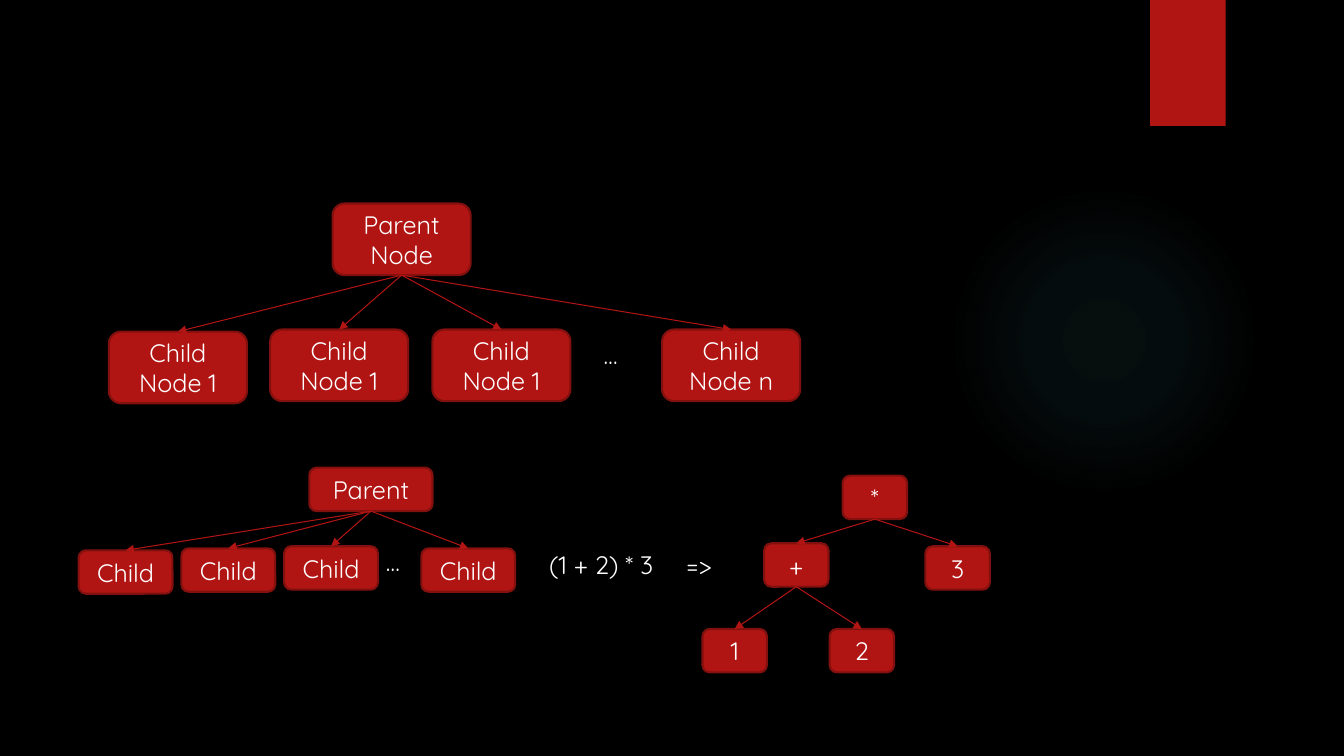
from lxml import etree
from pptx import Presentation
from pptx import util as u
from pptx.dml.color import RGBColor
from pptx.enum import shapes, text
from pptx.oxml import parse_xml
from pptx.oxml.ns import nsdecls, qn

COLORS = {"back": "000000", "red": "B01513", "edge": "82100E",
          "glow": "50B9C1", "text": "FFFFFF"}
FONT = {"name": "Quicksand", "size": u.Pt(18)}
KINDS = shapes.MSO_SHAPE


def add_block(page, kind, left, top, width, height):
    """Add a red preset shape with no outline and no shadow."""
    block = page.shapes.add_shape(kind, *map(u.Pt, (left, top, width, height)))
    block.shadow.inherit = False
    block.fill.solid()
    block.fill.fore_color.rgb = RGBColor.from_string(COLORS["red"])
    block.line.fill.background()
    return block


def write(box, words, frame_format, align):
    """Put one styled paragraph into a shape and return the paragraph."""
    for name, value in frame_format.items():
        setattr(box.text_frame, name, value)
    para = box.text_frame.paragraphs[0]
    para.alignment = align
    span = para.add_run()
    span.text = words
    for name, value in FONT.items():
        setattr(span.font, name, value)
    span.font.color.rgb = RGBColor.from_string(COLORS["text"])
    return para


deck = Presentation()
deck.slide_width, deck.slide_height = u.Pt(960), u.Pt(540)
page = deck.slides.add_slide(deck.slide_layouts[6])
page.background.fill.solid()
page.background.fill.fore_color.rgb = RGBColor.from_string(COLORS["back"])

# Soft glow: a radial gradient that fades to nothing
glow = add_block(page, KINDS.OVAL, 677.5, 131.8, 221.8, 221.8)
stops = "".join(
    f'<a:gs pos="{place * 1000}"><a:srgbClr val="{COLORS["glow"]}">'
    f'<a:alpha val="{alpha * 1000}"/></a:srgbClr></a:gs>'
    for place, alpha in ((0, 7), (36, 6), (69, 0)))
solid = glow._element.spPr.find(qn("a:solidFill"))
solid.getparent().replace(solid, parse_xml(
    f'<a:gradFill {nsdecls("a")}><a:gsLst>{stops}</a:gsLst><a:path path="circle">'
    '<a:fillToRect l="50000" t="50000" r="50000" b="50000"/></a:path></a:gradFill>'))

# Banner with a slight drop shadow
banner = add_block(page, KINDS.RECTANGLE, 821.5, 0, 54, 90)
banner._element.spPr.find(qn("a:effectLst")).append(parse_xml(
    f'<a:outerShdw {nsdecls("a")} blurRad="{u.Pt(3)}" dist="{u.Pt(2)}" dir="5400000">'
    f'<a:srgbClr val="{COLORS["back"]}"><a:alpha val="45000"/></a:srgbClr></a:outerShdw>'))

# Each tree: node height, then nodes as (key, words, left, top, width, parent key)
trees = [
    (51.1, [("root", "Parent Node", 237.6, 145.4, 98.6, None),
            ("first", "Child Node 1", 77.8, 236.9, 98.6, "root"),
            ("second", "Child Node 1", 193, 235.4, 98.6, "root"),
            ("third", "Child Node 1", 308.9, 235.4, 98.6, "root"),
            ("last", "Child Node n", 473, 235.4, 98.6, "root")]),
    (31, [("root", "Parent", 221, 334.1, 88, None),
          ("first", "Child", 56.2, 393.1, 67, "root"),
          ("second", "Child", 129.6, 391.7, 67, "root"),
          ("third", "Child", 203, 390.2, 67, "root"),
          ("last", "Child", 301, 391.7, 67, "root")]),
    (31, [("times", "*", 601.9, 339.8, 46, None),
          ("plus", "+", 545.8, 388.1, 46, "times"),
          ("three", "3", 661, 390.2, 46, "times"),
          ("one", "1", 501.8, 449.3, 46, "plus"),
          ("two", "2", 592.6, 449.3, 46, "plus")]),
]
node_frame = {"word_wrap": True, "vertical_anchor": text.MSO_ANCHOR.MIDDLE}
bottom_site, top_site = 2, 0
for height, nodes in trees:
    placed = {}
    for key, words, left, top, width, parent in nodes:
        node = add_block(page, KINDS.ROUNDED_RECTANGLE, left, top, width, height)
        node.line.color.rgb = RGBColor.from_string(COLORS["edge"])
        node.line.width = u.Pt(1.5)
        write(node, words, node_frame, text.PP_ALIGN.CENTER)
        placed[key] = node
        if parent is None:
            continue
        arrow = page.shapes.add_connector(shapes.MSO_CONNECTOR.STRAIGHT, 0, 0, 0, 0)
        arrow.begin_connect(placed[parent], bottom_site)
        arrow.end_connect(node, top_site)
        arrow.line.color.rgb = RGBColor.from_string(COLORS["red"])
        arrow.line.width = u.Pt(0.75)
        etree.SubElement(arrow.line._get_or_add_ln(), qn("a:tailEnd"), type="triangle")
        etree.SubElement(arrow._element.spPr, qn("a:effectLst"))

# Free text; a tab stop sets the arrow sign apart from the expression
label_frame = {"word_wrap": True, "auto_size": text.MSO_AUTO_SIZE.SHAPE_TO_FIT_TEXT}
labels = [("…", 424.1, 239, 32.4), ("…", 268.6, 386.6, 32.4),
          ("(1 + 2) * 3\t=>", 385.2, 388.8, 144)]
for words, left, top, width in labels:
    box = page.shapes.add_textbox(*map(u.Pt, (left, top, width, 28.8)))
    para = write(box, words, label_frame, text.PP_ALIGN.LEFT)
    if "\t" in words:
        tabs = etree.SubElement(para._p.get_or_add_pPr(), qn("a:tabLst"))
        etree.SubElement(tabs, qn("a:tab"), pos=str(u.Pt(98)), algn="l")

deck.save("out.pptx")
